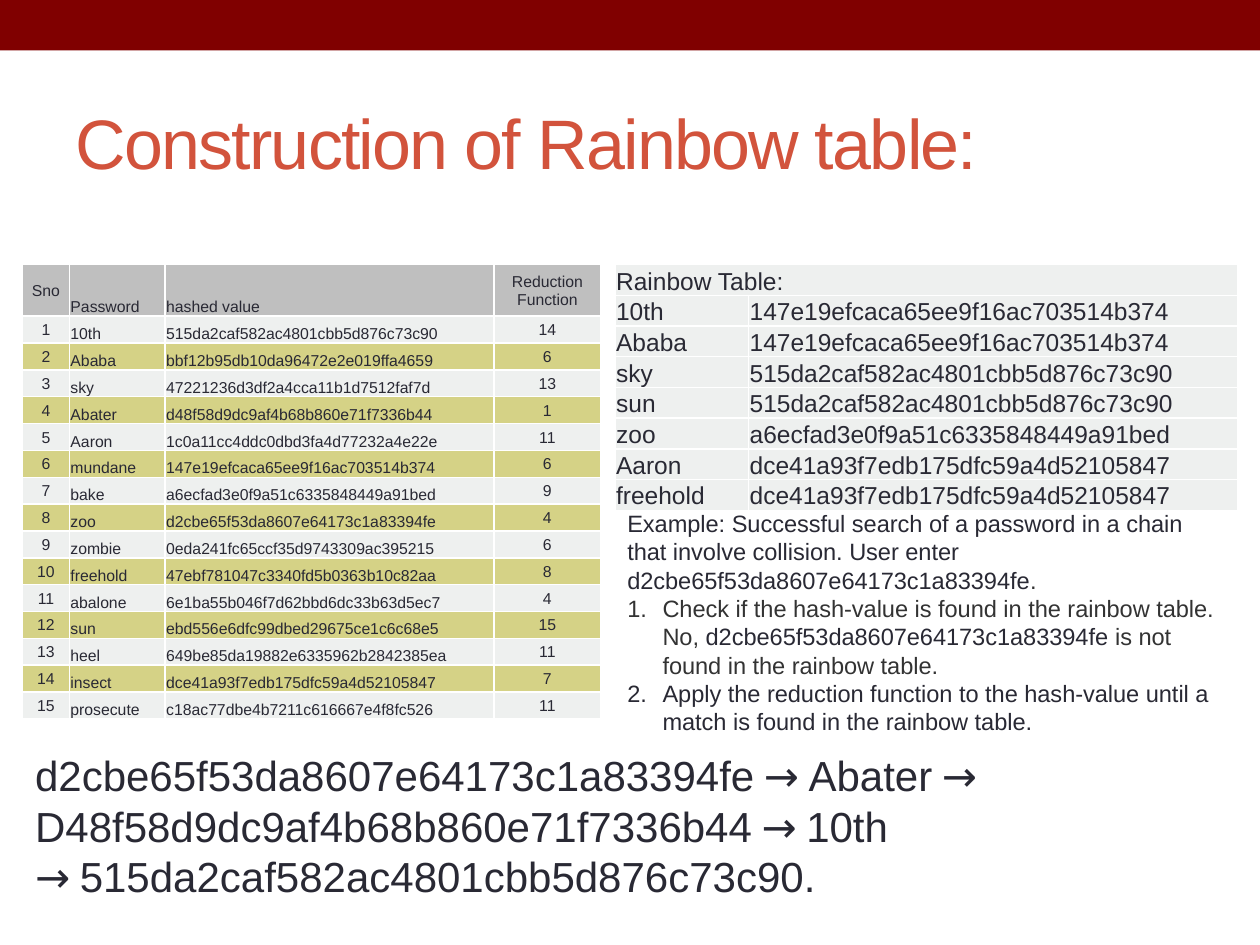
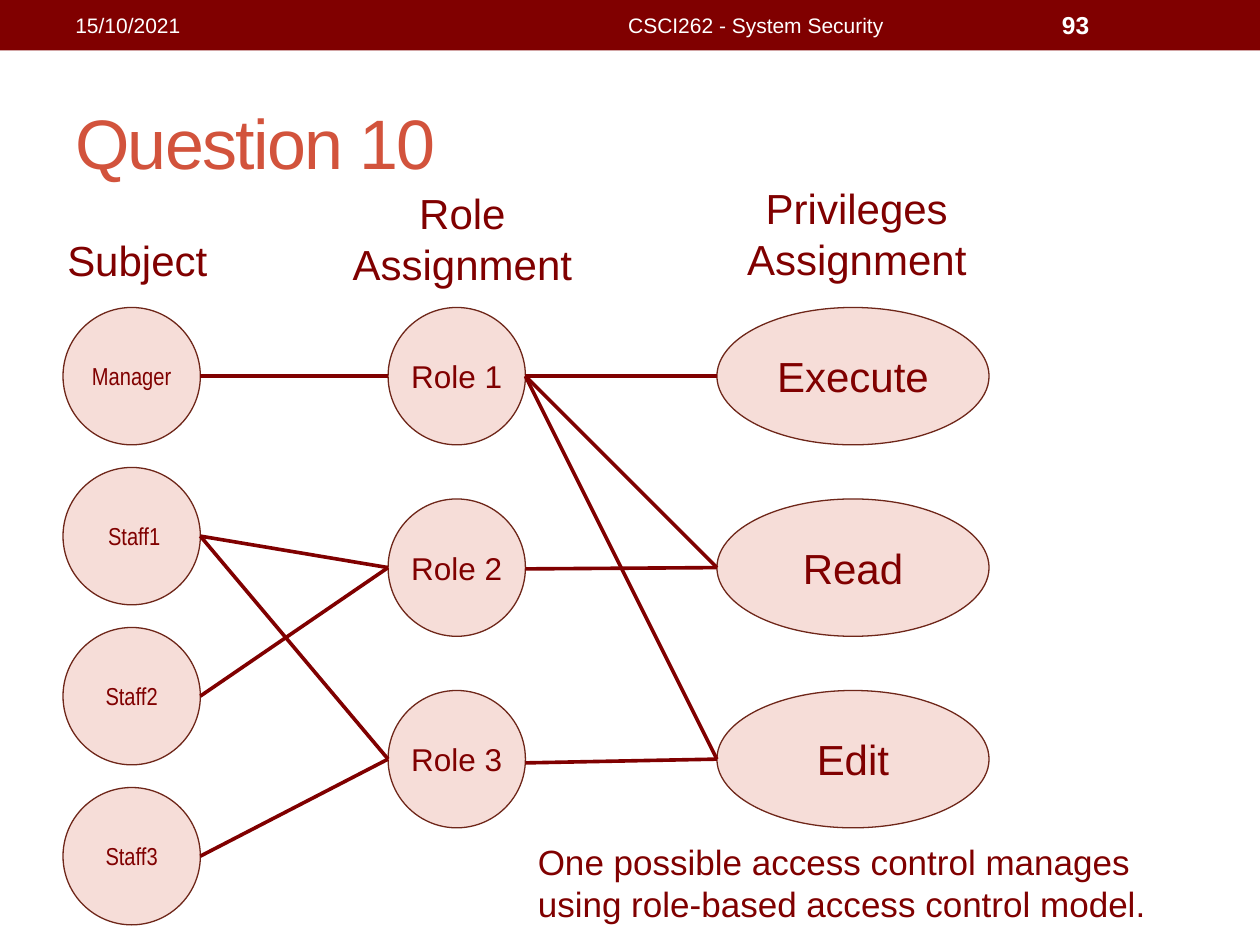
from dataclasses import dataclass

from lxml import etree
from pptx import Presentation
from pptx.dml.color import RGBColor
from pptx.enum import shapes, text
from pptx.oxml import ns
from pptx.util import Inches, Pt


@dataclass(frozen=True)
class Theme:
    font: str = "Arial"
    narrow: str = "Arial Narrow"
    symbol: str = "Cabin"
    maroon: str = "800000"
    title: str = "D2533C"
    ink: str = "292934"
    gray: str = "333333"
    white: str = "FFFFFF"
    head: str = "BFBFBF"
    pale: str = "EEF0EF"
    olive: str = "D5D286"
    pink: str = "F6DDD8"
    rim: str = "6E2619"
    title_size: float = 40
    big: float = 24
    note: float = 20
    role: float = 18
    body: float = 14
    list_size: float = 13.5
    foot: float = 12
    small: float = 9


T = Theme()
LEFT, MID = text.PP_ALIGN.LEFT, text.PP_ALIGN.CENTER
TOP, CENTER, BOTTOM = (text.MSO_ANCHOR.TOP, text.MSO_ANCHOR.MIDDLE,
                       text.MSO_ANCHOR.BOTTOM)

CHAIN = """10th 515da2caf582ac4801cbb5d876c73c90 14
Ababa bbf12b95db10da96472e2e019ffa4659 6
sky 47221236d3df2a4cca11b1d7512faf7d 13
Abater d48f58d9dc9af4b68b860e71f7336b44 1
Aaron 1c0a11cc4ddc0dbd3fa4d77232a4e22e 11
mundane 147e19efcaca65ee9f16ac703514b374 6
bake a6ecfad3e0f9a51c6335848449a91bed 9
zoo d2cbe65f53da8607e64173c1a83394fe 4
zombie 0eda241fc65ccf35d9743309ac395215 6
freehold 47ebf781047c3340fd5b0363b10c82aa 8
abalone 6e1ba55b046f7d62bbd6dc33b63d5ec7 4
sun ebd556e6dfc99dbed29675ce1c6c68e5 15
heel 649be85da19882e6335962b2842385ea 11
insect dce41a93f7edb175dfc59a4d52105847 7
prosecute c18ac77dbe4b7211c616667e4f8fc526 11"""

RAINBOW = """10th 147e19efcaca65ee9f16ac703514b374
Ababa 147e19efcaca65ee9f16ac703514b374
sky 515da2caf582ac4801cbb5d876c73c90
sun 515da2caf582ac4801cbb5d876c73c90
zoo a6ecfad3e0f9a51c6335848449a91bed
Aaron dce41a93f7edb175dfc59a4d52105847
freehold dce41a93f7edb175dfc59a4d52105847"""


def rgb(color):
    return RGBColor.from_string(color)


def box(*lengths):
    return [Inches(n) for n in lengths]


def fill(part, color):
    part.fill.solid()
    part.fill.fore_color.rgb = rgb(color)


# Text
def write(frame, paras, size=T.body, color=T.ink, font=T.font, bold=False,
          align=LEFT, track=0):
    """Fill a frame; a paragraph is a string or a list of (text, changes)."""
    frame.word_wrap = True
    for i, runs in enumerate([paras] if isinstance(paras, str) else paras):
        para = frame.paragraphs[0] if i == 0 else frame.add_paragraph()
        para.alignment = align
        for words, change in [(runs, {})] if isinstance(runs, str) else runs:
            run = para.add_run()
            run.text = words
            run.font.size = Pt(size)
            run.font.bold = bold
            run.font.name = change.get("font", font)
            run.font.color.rgb = rgb(change.get("color", color))
            if track:
                run.font._element.set("spc", str(track * 100))


def label(slide, place, paras, anchor=TOP, **fmt):
    frame = slide.shapes.add_textbox(*box(*place)).text_frame
    frame.vertical_anchor = anchor
    write(frame, paras, **fmt)
    return frame


def number(para, indent=0.28):
    props = para._p.get_or_add_pPr()
    props.set("marL", str(Inches(indent)))
    props.set("indent", str(-Inches(indent)))
    etree.SubElement(props, ns.qn("a:buAutoNum"), type="arabicPeriod")


# Slide frame
def start(deck, title):
    slide = deck.slides.add_slide(deck.slide_layouts[6])
    band = slide.shapes.add_shape(shapes.MSO_SHAPE.RECTANGLE,
                                  *box(0, 0, 10, 0.4))
    band.shadow.inherit = False
    fill(band, T.maroon)
    band.line.fill.background()
    label(slide, (0.5, 0.58, 9, 1.08), title, CENTER,
          size=T.title_size, color=T.title, track=-1)
    return slide


def footer(slide, date, course, page):
    fmt = dict(anchor=CENTER, color=T.white)
    label(slide, (0.5, 0.02, 3.17, 0.36), date, size=T.foot, **fmt)
    label(slide, (3.75, 0.02, 4.5, 0.36), course, size=T.foot, align=MID,
          **fmt)
    label(slide, (8.33, 0.02, 1.17, 0.36), page, bold=True, **fmt)


# Tables
def border(cell, color=T.white, width=1):
    props = cell._tc.get_or_add_tcPr()
    for i, side in enumerate(("lnL", "lnR", "lnT", "lnB")):
        line = etree.Element(ns.qn(f"a:{side}"), w=str(Pt(width)))
        paint = etree.SubElement(line, ns.qn("a:solidFill"))
        etree.SubElement(paint, ns.qn("a:srgbClr"), val=color)
        props.insert(i, line)


def grid(slide, left, top, cols, highs, rows, shades, size, mids=()):
    table = slide.shapes.add_table(
        len(rows), len(cols),
        *box(left, top, sum(cols), sum(highs))).table
    table.first_row = table.horz_banding = False
    for col, wide in zip(table.columns, cols):
        col.width = Inches(wide)
    for r, (row, high, shade) in enumerate(zip(rows, highs, shades)):
        table.rows[r].height = Inches(high)
        for c, words in enumerate(row):
            cell = table.cell(r, c)
            cell.margin_left = cell.margin_right = Inches(0.01)
            cell.margin_top, cell.margin_bottom = Inches(0.01), 0
            cell.vertical_anchor = CENTER if c in mids else BOTTOM
            fill(cell, shade)
            border(cell)
            if words:
                write(cell.text_frame, words, size=size,
                      align=MID if c in mids else LEFT)
    return table


# Diagram
def oval(slide, place, words, inset=None, **fmt):
    node = slide.shapes.add_shape(shapes.MSO_SHAPE.OVAL, *box(*place))
    node.shadow.inherit = False
    fill(node, T.pink)
    node.line.color.rgb = rgb(T.rim)
    node.line.width = Pt(0.75)
    frame = node.text_frame
    frame.vertical_anchor = CENTER
    if inset is not None:
        frame.margin_left = Inches(inset)
        frame.margin_right = frame.margin_top = frame.margin_bottom = 0
    write(frame, words, color=T.maroon, align=MID, **fmt)
    return node


def link(slide, a, b, drop=0):
    """Line from the right of a, lowered by drop, to the left of b."""
    line = slide.shapes.add_connector(
        shapes.MSO_CONNECTOR.STRAIGHT,
        a.left + a.width, a.top + a.height // 2 + Inches(drop),
        b.left, b.top + b.height // 2)
    line.line.color.rgb = rgb(T.maroon)
    line.line.width = Pt(2.08)
    etree.SubElement(line._element.spPr, ns.qn("a:effectLst"))


def rainbow(deck):
    slide = start(deck, "Construction of Rainbow table:")

    # Password chain
    rows = [("Sno", "Password", "hashed value", "Reduction Function")]
    rows += [(str(i), *line.split())
             for i, line in enumerate(CHAIN.splitlines(), 1)]
    count = len(rows) - 1
    shades = [T.head] + [(T.pale, T.olive)[i % 2] for i in range(count)]
    grid(slide, 0.18, 2.1, (0.37, 0.76, 2.61, 0.85),
         [0.41] + [3.2 / count] * count, rows, shades, T.small, mids=(0, 3))

    # Rainbow table
    rows = [("Rainbow Table:", "")]
    rows += [line.split() for line in RAINBOW.splitlines()]
    table = grid(slide, 4.88, 2.1, (1.06, 3.88), [0.23] * len(rows), rows,
                 [T.pale] * len(rows), T.body)
    table.cell(0, 0).merge(table.cell(0, 1))

    # Search example
    code = "d2cbe65f53da8607e64173c1a83394fe"
    ink = dict(color=T.ink)
    frame = label(slide, (4.88, 3.99, 4.95, 1.92), [
        [("Example: Successful search of a password in a chain that involve "
          f"collision. User enter {code}", ink), (".", {})],
        [("Check if the hash-value is found in the rainbow table. No, ", {}),
         (code, ink), (" is not found in the rainbow table.", {})],
        [("Apply the reduction function to the hash-value until a match is "
          "found in the rainbow table.", ink)],
    ], size=T.list_size, color=T.gray)
    for para in frame.paragraphs[1:]:
        number(para)

    # Reduction steps
    arrow = (" → ", dict(font=T.symbol))
    label(slide, (0.18, 5.9, 9.51, 1.31), [
        [(code, {}), arrow, ("Abater", {}), arrow,
         ("D48f58d9dc9af4b68b860e71f7336b44", {}), arrow, ("10th", {})],
        [("→ ", arrow[1]), ("515da2caf582ac4801cbb5d876c73c90.", {})],
    ], size=T.big)


def access(deck):
    slide = start(deck, "Question 10")
    footer(slide, "15/10/2021", "CSCI262 - System Security", "93")

    # Nodes
    top, side, step = 2.44, 1.09, 1.52
    users = [oval(slide, (0.5, top + 1.27 * i, side, side), name,
                  inset=0.04 if name == "Staff1" else 0, font=T.narrow)
             for i, name in enumerate(("Manager", "Staff1", "Staff2",
                                       "Staff3"))]
    roles = [oval(slide, (3.08, top + step * i, side, side), f"Role {i + 1}",
                  inset=0, size=T.role) for i in range(3)]
    rights = [oval(slide, (5.69, top + step * i, 2.16, side), name,
                   size=T.big)
              for i, name in enumerate(("Execute", "Read", "Edit"))]

    # Links
    for u, r in ((0, 0), (1, 1), (2, 1), (3, 2), (1, 2)):
        link(slide, users[u], roles[r])
    for r, p, drop in ((0, 0, 0), (0, 1, 0), (0, 2, 0), (1, 1, 0.01),
                       (2, 2, 0.03)):
        link(slide, roles[r], rights[p], drop)

    # Headings and note
    for place, words in (((0.39, 1.81, 1.4, 0.5), "Subject"),
                         ((2.62, 1.44, 2.1, 0.91), "Role Assignment"),
                         ((5.75, 1.4, 2.1, 0.91), "Privileges Assignment")):
        label(slide, place, words, size=T.big, color=T.maroon, align=MID)
    label(slide, (4.17, 6.62, 5.33, 0.77),
          "One possible access control manages using role-based access "
          "control model.", size=T.note, color=T.maroon)


def main():
    deck = Presentation()
    deck.slide_width, deck.slide_height = box(10, 7.5)
    rainbow(deck)
    access(deck)
    deck.save("out.pptx")


if __name__ == "__main__":
    main()
